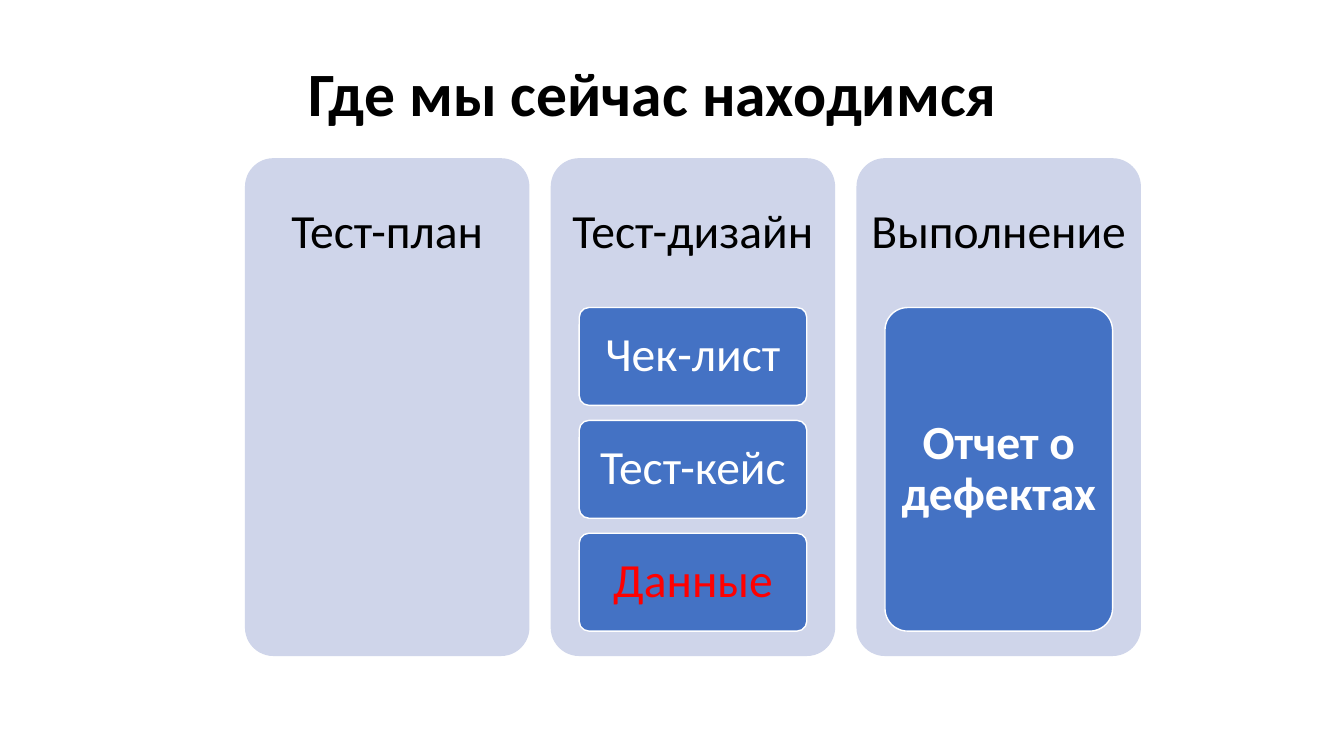
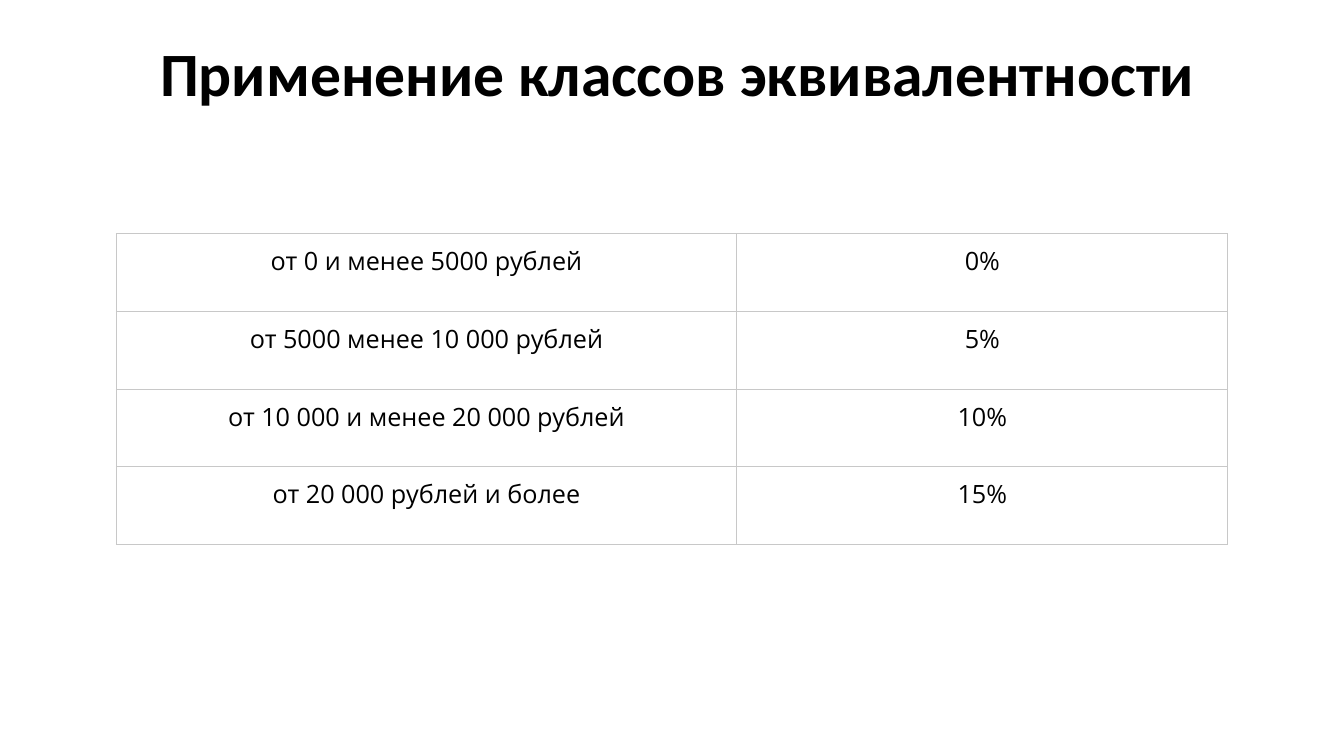
"""Build two slides on testing: the current stage and equivalence classes."""
from lxml.etree import SubElement
from pptx import Presentation
from pptx.dml.color import RGBColor
from pptx.enum.shapes import MSO_SHAPE as Shape
from pptx.enum.text import MSO_ANCHOR as Anchor, PP_ALIGN as Align
from pptx.oxml.ns import qn
from pptx.util import Pt

COLORS = {
    "black": "000000",
    "white": "FFFFFF",
    "red": "FF0000",
    "panel": "CFD5EA",
    "card": "4472C4",
    "border": "C8C8C8",
}
HEADING_FONT, TABLE_FONT = "Calibri", "Open Sans"

STAGE_TITLE = "Где мы сейчас находимся"
STAGES = [
    ("Тест-план", []),
    ("Тест-дизайн", [
        ("Чек-лист", "white", False),
        ("Тест-кейс", "white", False),
        ("Данные", "red", False),
    ]),
    ("Выполнение", [("Отчет о дефектах", "white", True)]),
]
CLASSES_TITLE = "Применение классов эквивалентности"
DISCOUNTS = [
    ("от 0 и менее 5000 рублей", "0%"),
    ("от 5000 менее 10 000 рублей", "5%"),
    ("от 10 000 и менее 20 000 рублей", "10%"),
    ("от 20 000 рублей и более", "15%"),
]

PANEL_LEFT, PANEL_TOP, PANEL_WIDTH, PANEL_HEIGHT = 175, 113, 203.2, 355.6
PANEL_PITCH = 218.4
HEADER_HEIGHT = 0.3 * PANEL_HEIGHT
CARD_WIDTH = 0.8 * PANEL_WIDTH
CARDS_HEIGHT = 0.65 * PANEL_HEIGHT
CARD_GAP = 10.7
COLUMN_WIDTHS = (443.4, 350.6)
ROW_HEIGHT = 55.5


def rgb(name):
    return RGBColor.from_string(COLORS[name])


def write(frame, text, size, color="black", bold=False, font=HEADING_FONT, spacing=0.9):
    frame.text = text
    paragraph = frame.paragraphs[0]
    paragraph.alignment = Align.CENTER
    paragraph.line_spacing = spacing
    style = paragraph.runs[0].font
    style.name, style.size, style.bold = font, Pt(size), bold
    style.color.rgb = rgb(color)


def set_margins(target, across, down):
    target.margin_left = target.margin_right = Pt(across)
    target.margin_top = target.margin_bottom = Pt(down)


def add_label(slide, box, text, size, margins, bold=False):
    frame = slide.shapes.add_textbox(*map(Pt, box)).text_frame
    frame.word_wrap = True
    frame.vertical_anchor = Anchor.MIDDLE
    set_margins(frame, *margins)
    write(frame, text, size, bold=bold)


def add_titled_slide(deck, title, left, top):
    slide = deck.slides.add_slide(deck.slide_layouts[6])
    add_label(slide, (left, top, 828, 80), title, 44, (7.2, 3.6), bold=True)
    return slide


def add_rounded(slide, box, fill, line=None):
    block = slide.shapes.add_shape(Shape.ROUNDED_RECTANGLE, *map(Pt, box))
    block.adjustments[0] = 0.1
    block.shadow.inherit = False
    block.fill.solid()
    block.fill.fore_color.rgb = rgb(fill)
    if line:
        block.line.color.rgb = rgb(line)
        block.line.width = Pt(1)
    else:
        block.line.fill.background()
    return block


def add_stage(slide, left, name, cards):
    add_rounded(slide, (left, PANEL_TOP, PANEL_WIDTH, PANEL_HEIGHT), "panel")
    add_label(slide, (left, PANEL_TOP, PANEL_WIDTH, HEADER_HEIGHT), name, 34, (10, 10))
    card_left = left + (PANEL_WIDTH - CARD_WIDTH) / 2
    pitch = (CARDS_HEIGHT + CARD_GAP) / max(len(cards), 1)
    for index, (text, color, bold) in enumerate(cards):
        top = PANEL_TOP + HEADER_HEIGHT + index * pitch
        card = add_rounded(slide, (card_left, top, CARD_WIDTH, pitch - CARD_GAP), "card", "white")
        frame = card.text_frame
        frame.word_wrap = True
        frame.vertical_anchor = Anchor.MIDDLE
        set_margins(frame, 6.5, 5)
        write(frame, text, 34, color, bold)


def add_borders(cell):
    properties = cell._tc.get_or_add_tcPr()
    for side in ("lnL", "lnR", "lnT", "lnB"):
        line = SubElement(properties, qn(f"a:{side}"), w=str(Pt(0.75)))
        fill = SubElement(line, qn("a:solidFill"))
        SubElement(fill, qn("a:srgbClr"), val=COLORS["border"])


def add_discount_table(slide):
    size = (sum(COLUMN_WIDTHS), ROW_HEIGHT * len(DISCOUNTS))
    table = slide.shapes.add_table(
        len(DISCOUNTS), len(COLUMN_WIDTHS), Pt(83), Pt(167), *map(Pt, size)).table
    table.first_row = table.horz_banding = False
    for column, width in zip(table.columns, COLUMN_WIDTHS):
        column.width = Pt(width)
    for row, values in zip(table.rows, DISCOUNTS):
        row.height = Pt(ROW_HEIGHT)
        for cell, value in zip(row.cells, values):
            set_margins(cell, 7.2, 7.2)
            write(cell.text_frame, value, 18, font=TABLE_FONT, spacing=1.0)
            add_borders(cell)
            cell.fill.background()


def main():
    deck = Presentation()
    deck.slide_width, deck.slide_height = Pt(960), Pt(540)
    stages_slide = add_titled_slide(deck, STAGE_TITLE, 52.5, 29)
    for index, (name, cards) in enumerate(STAGES):
        add_stage(stages_slide, PANEL_LEFT + index * PANEL_PITCH, name, cards)
    add_discount_table(add_titled_slide(deck, CLASSES_TITLE, 70.5, 15))
    deck.save("out.pptx")


if __name__ == "__main__":
    main()
